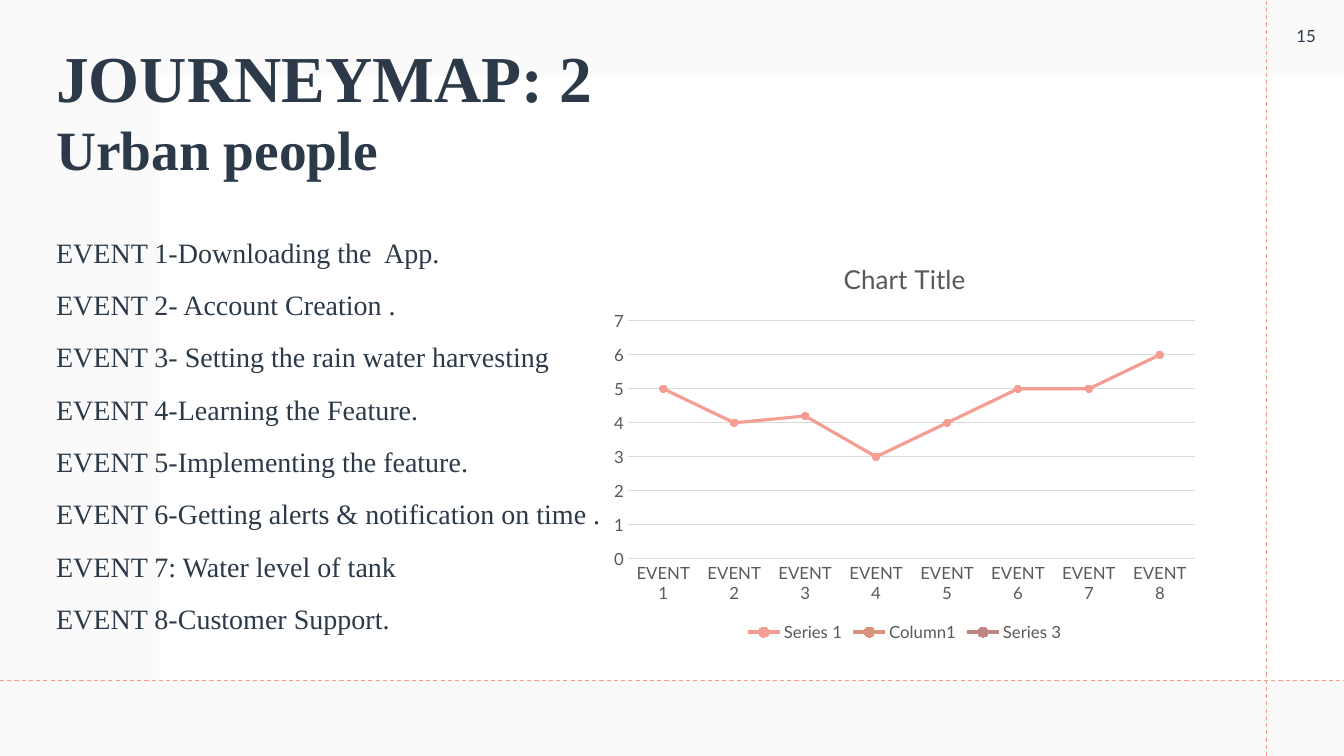
import pptx
import pptx.chart.data
import pptx.dml.color
import pptx.enum.chart
import pptx.enum.dml
import pptx.enum.shapes
import pptx.enum.text
import pptx.oxml
import pptx.util
from pptx.util import Pt

RGBColor = pptx.dml.color.RGBColor
WHITE = RGBColor(0xFF, 0xFF, 0xFF)
PALE = RGBColor(0xF4, 0xF4, 0xF4)
NAVY = RGBColor(0x2C, 0x39, 0x48)
CORAL = RGBColor(0xF4, 0x9D, 0x90)
TAN = RGBColor(0xD6, 0x94, 0x7C)
MAUVE = RGBColor(0xBF, 0x84, 0x84)
GREY = RGBColor(0x59, 0x59, 0x59)
RULE = RGBColor(0xD9, 0xD9, 0xD9)
SERIF, SANS = "Times New Roman", "Lato"
WIDTH, HEIGHT = 960, 540


def add_text(left, top, width, height, anchor):
    box = page.shapes.add_textbox(Pt(left), Pt(top), Pt(width), Pt(height))
    box.text_frame.word_wrap = True
    box.text_frame.vertical_anchor = anchor
    return box.text_frame


def set_font(font, name, size, color, bold=False):
    font.name, font.size, font.bold = name, Pt(size), bold
    font.color.rgb = color


deck = pptx.Presentation()
deck.slide_width, deck.slide_height = Pt(WIDTH), Pt(HEIGHT)
page = deck.slides.add_slide(deck.slide_layouts[6])

# Background panels: a translucent wash with a white sheet over it
panels = []
for left, top, width, height, color in [
    (0, 0, WIDTH, HEIGHT, PALE),
    (113.8, 54, 846.2, 432, WHITE),
]:
    panel = page.shapes.add_shape(
        pptx.enum.shapes.MSO_SHAPE.RECTANGLE, Pt(left), Pt(top), Pt(width), Pt(height))
    panel.shadow.inherit = False
    panel.fill.solid()
    panel.fill.fore_color.rgb = color
    panel.line.fill.background()
    panels.append(panel)
wash_color = panels[0].fill._xPr.find(".//" + pptx.oxml.ns.qn("a:srgbClr"))
pptx.oxml.xmlchemy.OxmlElement("a:alpha")
alpha = pptx.oxml.xmlchemy.OxmlElement("a:alpha")
alpha.set("val", "45000")
wash_color.append(alpha)

# Dashed guide lines
for x1, y1, x2, y2 in [(905, HEIGHT, 905, 0), (0, 486, WIDTH, 486)]:
    guide = page.shapes.add_connector(
        pptx.enum.shapes.MSO_CONNECTOR.STRAIGHT, Pt(x1), Pt(y1), Pt(x2), Pt(y2))
    guide.line.color.rgb = CORAL
    guide.line.width = Pt(0.75)
    guide.line.dash_style = pptx.enum.dml.MSO_LINE.DASH
    guide._element.spPr.append(pptx.oxml.xmlchemy.OxmlElement("a:effectLst"))

# Title
title = add_text(33, 36, 828, 98.6, pptx.enum.text.MSO_ANCHOR.BOTTOM)
para = title.paragraphs[0]
para.line_spacing = 0.98
span = para.add_run()
span.text = "JOURNEYMAP: 2"
set_font(span.font, SERIF, 46.8, NAVY, True)
para.add_line_break()
span = para.add_run()
span.text = "Urban people"
set_font(span.font, SERIF, 39.6, NAVY, True)

# Event list
EVENTS = [
    "EVENT 1-Downloading the  App.",
    "EVENT 2- Account Creation .",
    "EVENT 3- Setting the rain water harvesting",
    "EVENT 4-Learning the Feature.",
    "EVENT 5-Implementing the feature.",
    "EVENT 6-Getting alerts & notification on time .",
    "EVENT 7: Water level of tank",
    "EVENT 8-Customer Support.",
]
body = add_text(33, 162, 410.4, 321.8, pptx.enum.text.MSO_ANCHOR.TOP)
for index, event in enumerate(EVENTS):
    para = body.add_paragraph() if index else body.paragraphs[0]
    para.text = event
    para.line_spacing = 1.1
    para.space_before = Pt(11)
    set_font(para.font, SERIF, 20, NAVY)

# Page number
number = add_text(906, -1.4, 54, 54, pptx.enum.text.MSO_ANCHOR.MIDDLE)
para = number.paragraphs[0]
para.text = "15"
para.alignment = pptx.enum.text.PP_ALIGN.CENTER
set_font(para.font, SANS, 12, NAVY)

# Line chart
data = pptx.chart.data.CategoryChartData()
data.categories = [f"EVENT {event}" for event in range(1, 9)]
data.add_series("Series 1", [5, 4, 4.2, 3, 4, 5, 5, 6])
data.add_series("Column1", [None] * 8)
data.add_series("Series 3", [None] * 8)
chart = page.shapes.add_chart(
    pptx.enum.chart.XL_CHART_TYPE.LINE_MARKERS,
    Pt(430), Pt(173), Pt(432.5), Pt(288.5), data).chart
set_font(chart.font, SANS, 12, GREY)

chart.has_title = True
chart.chart_title.include_in_layout = False
para = chart.chart_title.text_frame.paragraphs[0]
para.text = "Chart Title"
set_font(para.font, SANS, 18.6, GREY)

chart.has_legend = True
chart.legend.position = pptx.enum.chart.XL_LEGEND_POSITION.BOTTOM
chart.legend.include_in_layout = False
set_font(chart.legend.font, SANS, 12, GREY)

for axis in (chart.category_axis, chart.value_axis):
    axis.major_tick_mark = axis.minor_tick_mark = pptx.enum.chart.XL_TICK_MARK.NONE
    set_font(axis.tick_labels.font, SANS, 12, GREY)
chart.value_axis.minimum_scale = 0
chart.value_axis.maximum_scale = 7
chart.value_axis.major_unit = 1
chart.value_axis.format.line.fill.background()
for line in (chart.category_axis.format.line, chart.value_axis.major_gridlines.format.line):
    line.color.rgb = RULE
    line.width = Pt(0.75)

for series, color in zip(chart.plots[0].series, (CORAL, TAN, MAUVE)):
    series.smooth = False
    series.format.line.color.rgb = color
    series.format.line.width = Pt(2.25)
    series.marker.style = pptx.enum.chart.XL_MARKER_STYLE.CIRCLE
    series.marker.size = 5
    series.marker.format.fill.solid()
    series.marker.format.fill.fore_color.rgb = color
    series.marker.format.line.color.rgb = color

deck.save("out.pptx")
